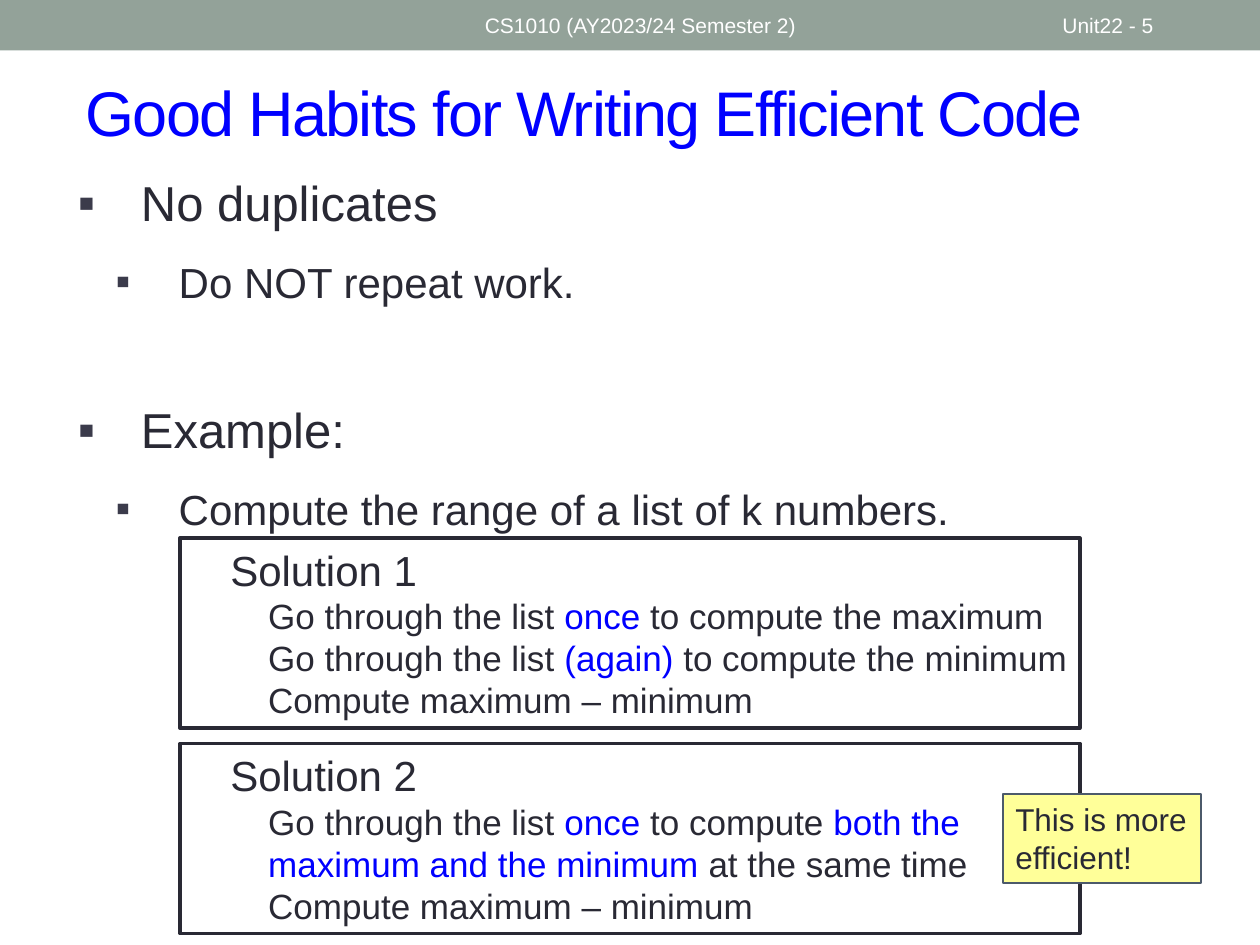
from lxml.etree import SubElement
from pptx import Presentation
from pptx.dml.color import RGBColor
from pptx.enum.shapes import MSO_SHAPE as Shape
from pptx.enum.text import MSO_ANCHOR as Anchor, PP_ALIGN as Align
from pptx.oxml.ns import qn
from pptx.util import Pt

BLUE = RGBColor(0x00, 0x00, 0xFF)
INK = RGBColor(0x29, 0x29, 0x34)
BULLET = "3B3B4B"
SAGE = RGBColor(0x93, 0xA2, 0x99)
SLATE = RGBColor(0x4C, 0x5A, 0x6A)
YELLOW = RGBColor(0xFF, 0xFF, 0x99)
WHITE = RGBColor(0xFF, 0xFF, 0xFF)


def write(frame, text, size, color=INK, level=0, left=0, bullet=False,
          before=0, spacing=1.0, tracking=0):
    """Add a left-aligned paragraph; parts between asterisks turn blue."""
    first = not frame.paragraphs[0].runs
    paragraph = frame.paragraphs[0] if first else frame.add_paragraph()
    props = paragraph._p.get_or_add_pPr()
    props.set("marL", str(Pt(left)))
    props.set("indent", str(Pt(-36 if bullet else 0)))
    if bullet:
        SubElement(SubElement(props, qn("a:buClr")), qn("a:srgbClr"), val=BULLET)
        SubElement(props, qn("a:buFont"), typeface="Arial")
        SubElement(props, qn("a:buChar"), char="▪")
    paragraph.level = level
    paragraph.alignment = Align.LEFT
    paragraph.line_spacing = spacing
    paragraph.space_before = Pt(0 if first else before)
    for i, part in enumerate(text.split("*")):
        run = paragraph.add_run()
        run.text = part
        run.font.name = "Arial"
        run.font.size = Pt(size)
        run.font.color.rgb = BLUE if i % 2 else color
        if tracking:
            run._r.get_or_add_rPr().set("spc", str(tracking * 100))


def add_panel(left, top, width, height, fill, line=None, weight=1):
    panel = slide.shapes.add_shape(Shape.RECTANGLE, Pt(left), Pt(top), Pt(width), Pt(height))
    panel.shadow.inherit = False
    panel.fill.solid()
    panel.fill.fore_color.rgb = fill
    if line is None:
        panel.line.fill.background()
    else:
        panel.line.color.rgb = line
        panel.line.width = Pt(weight)
    panel.text_frame.word_wrap = True
    panel.text_frame.vertical_anchor = Anchor.TOP
    return panel.text_frame


prs = Presentation()
prs.slide_width, prs.slide_height = Pt(720), Pt(540)
slide = prs.slides.add_slide(prs.slide_layouts[5])

# Header band
add_panel(0, 0, 720, 28.8, SAGE)
for label, left, width in [("CS1010 (AY2023/24 Semester 2)", 270, 324),
                           ("Unit22 - 5", 600, 84)]:
    header = slide.shapes.add_textbox(Pt(left), Pt(1.44), Pt(width), Pt(25.92)).text_frame
    header.word_wrap = True
    header.vertical_anchor = Anchor.MIDDLE
    write(header, label, 12, color=WHITE)

# Title
title = slide.shapes.title
title.left, title.top, title.width, title.height = Pt(41.76), Pt(30.24), Pt(660), Pt(66.24)
title.text_frame.vertical_anchor = Anchor.MIDDLE
write(title.text_frame, "Good Habits for Writing Efficient Code", 36, color=BLUE, tracking=-1)

# Outline
outline = slide.shapes.add_textbox(Pt(37.44), Pt(92.88), Pt(625.68), Pt(416.88)).text_frame
outline.word_wrap = True
for text, level, before in [("No duplicates", 0, 0),
                            ("Do NOT repeat work.", 1, 12),
                            ("Example:", 0, 51),
                            ("Compute the range of a list of k numbers.", 1, 12)]:
    write(outline, text, 24 if level else 28, level=level, left=57.6 if level else 36,
          bullet=True, before=before, spacing=1.07)

# Solutions
solutions = [
    ("Solution 1", ["Go through the list *once* to compute the maximum",
                    "Go through the list *(again) *to compute the minimum",
                    "Compute maximum – minimum"]),
    ("Solution 2", ["Go through the list *once* to compute "
                    "*both the maximum and the minimum* at the same time",
                    "Compute maximum – minimum"]),
]
for i, (heading, steps) in enumerate(solutions):
    solution = add_panel(102.96, 307.44 + i * 117.36, 514.08, 108.72, WHITE, INK, 2.08)
    solution.margin_right = Pt(4)
    write(solution, heading, 24, level=1, left=21.6)
    for step in steps:
        write(solution, step, 20, level=2, left=43.2)

# Callout
callout = add_panel(573.12, 453.6, 113.04, 51.12, YELLOW, SLATE)
write(callout, "This is more efficient!", 18)

prs.save("out.pptx")
